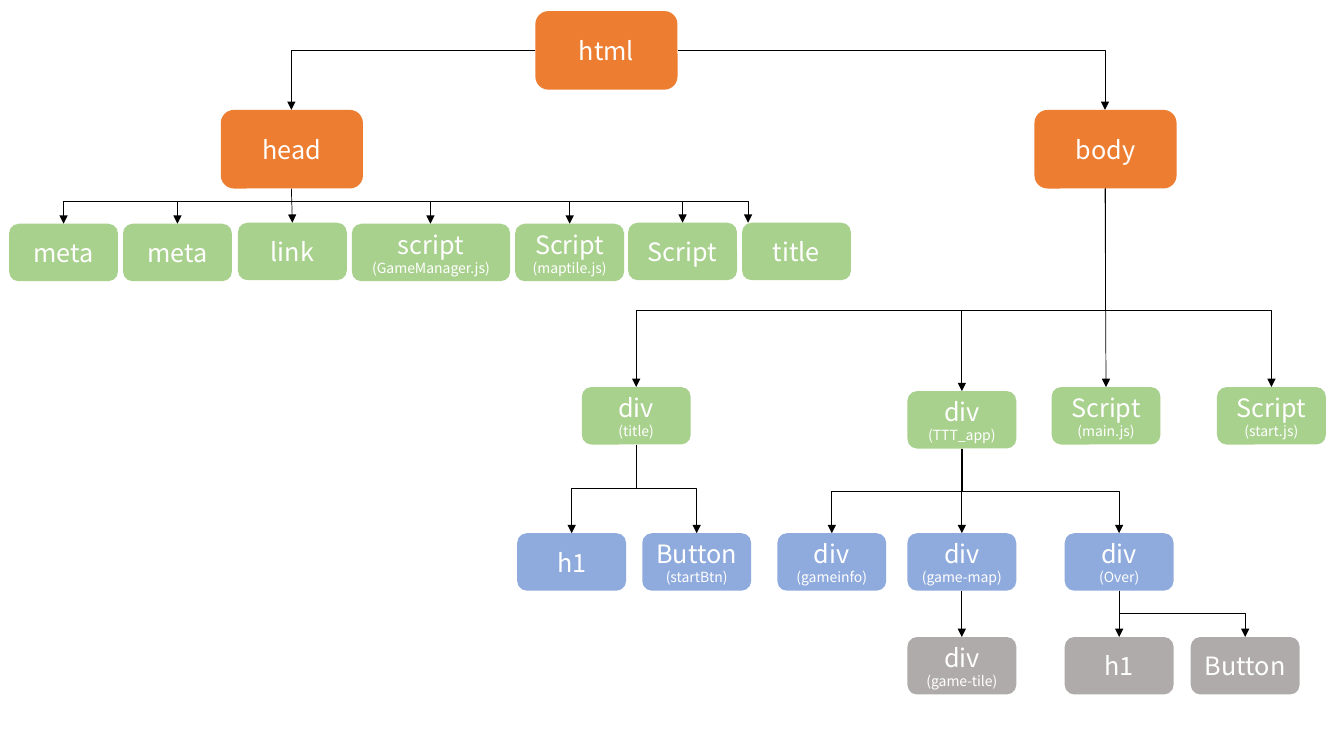
"""Draw the element tree of a game page as a slide."""
from dataclasses import dataclass
from typing import Any

from lxml import etree
from pptx import Presentation
from pptx.dml.color import RGBColor
from pptx.enum.shapes import MSO_CONNECTOR, MSO_SHAPE
from pptx.enum.text import MSO_ANCHOR, PP_ALIGN
from pptx.oxml.ns import qn
from pptx.util import Emu, Pt

ROUNDED = MSO_SHAPE.ROUNDED_RECTANGLE
STRAIGHT, ELBOW = MSO_CONNECTOR.STRAIGHT, MSO_CONNECTOR.ELBOW
CENTER, MIDDLE = PP_ALIGN.CENTER, MSO_ANCHOR.MIDDLE
PX = 9144
FONT = "Noto Sans CJK KR"
WHITE, BLACK = "FFFFFF", "000000"
ORANGE, GREEN, BLUE, GREY = "ED7D31", "A9D18E", "8FAADC", "AFABAB"
LINE_WIDTH = 0.5
TITLE_SIZE, NOTE_SIZE = 18, 10


@dataclass(frozen=True)
class Node:
    key: str
    x: int
    y: int
    fill: str
    text: str
    note: str = ""
    parent: str = ""
    route: str = "straight"
    bus: int = 0
    w: int = 108
    h: int = 57
    tip: int = 0

    @property
    def mid(self) -> int:
        return self.x + self.w // 2

    @property
    def bottom(self) -> int:
        return self.y + self.h


BIG = {"w": 141, "h": 78}
NODES = [
    Node("html", 531, 11, ORANGE, "html", bus=50, **BIG),
    Node("head", 219, 109, ORANGE, "head", "", "html", "corner", 200, **BIG),
    Node("body", 1026, 109, ORANGE, "body", "", "html", "corner", 308, **BIG),
    Node("meta1", 9, 222, GREEN, "meta", "", "head", "corner"),
    Node("meta2", 122, 222, GREEN, "meta", "", "head", "drop"),
    Node("link", 236, 221, GREEN, "link", "", "head"),
    Node("manager", 349, 222, GREEN, "script", "(GameManager.js)", "head", "drop", w=157),
    Node("maptile", 511, 222, GREEN, "Script", "(maptile.js)", "head", "drop"),
    Node("script", 623, 221, GREEN, "Script", "", "head", "drop"),
    Node("title", 736, 221, GREEN, "title", "", "head", "corner", tip=-48),
    Node("heading", 577, 384, GREEN, "div", "(title)", "body", "elbow", 485),
    Node("app", 900, 388, GREEN, "div", "(TTT_app)", "body", "drop", 487),
    Node("main", 1043, 384, GREEN, "Script", "(main.js)", "body"),
    Node("start", 1207, 384, GREEN, "Script", "(start.js)", "body", "elbow"),
    Node("h1", 513, 529, BLUE, "h1", "", "heading", "elbow"),
    Node("startBtn", 637, 529, BLUE, "Button", "(startBtn)", "heading", "elbow"),
    Node("gameinfo", 771, 529, BLUE, "div", "(gameinfo)", "app", "elbow"),
    Node("map", 900, 529, BLUE, "div", "(game-map)", "app"),
    Node("over", 1056, 529, BLUE, "div", "(Over)", "app", "elbow", 609),
    Node("tile", 900, 632, GREY, "div", "(game-tile)", "map"),
    Node("overH1", 1056, 632, GREY, "h1", "", "over"),
    Node("overBtn", 1181, 632, GREY, "Button", "", "over", "elbow"),
]


def px(value: float) -> Emu:
    """Turn slide pixels into EMU."""
    return Emu(round(value * PX))


def rgb(value: str) -> RGBColor:
    """Turn a hex string into a colour."""
    return RGBColor.from_string(value)


def add_line(shapes: Any, kind: Any, x1: float, y1: float, x2: float, y2: float) -> Any:
    """Add a thin black line that ends in an arrowhead."""
    cxn = shapes.add_connector(kind, px(x1), px(y1), px(x2), px(y2))
    cxn.line.width = Pt(LINE_WIDTH)
    cxn.line.color.rgb = rgb(BLACK)
    tail = etree.SubElement(cxn.line._get_or_add_ln(), qn("a:tailEnd"))
    tail.set("type", "triangle")
    etree.SubElement(cxn._element.spPr, qn("a:effectLst"))
    return cxn


def turn(cxn: Any, degrees: int, flip: str) -> None:
    """Rotate a connector and mirror it if a flip is named."""
    xfrm = cxn._element.spPr.find(qn("a:xfrm"))
    xfrm.set("rot", str(degrees * 60000))
    if flip:
        xfrm.set(flip, "1")


def add_corner(shapes: Any, x1: int, y1: int, x2: int, y2: int) -> None:
    """Add a line that runs sideways and then down."""
    cxn = add_line(shapes, ELBOW, min(x1, x2), y1, max(x1, x2), y2)
    cxn._element.spPr.find(qn("a:prstGeom")).set("prst", "bentConnector2")
    if x2 < x1:
        turn(cxn, 180, "flipV")


def add_elbow(shapes: Any, x1: int, y1: int, x2: int, y2: int, bus: int) -> None:
    """Add a line that runs down, sideways at the bus and down again."""
    w, h = y2 - y1, abs(x2 - x1)
    left, top = (x1 + x2 - w) / 2, (y1 + y2 - h) / 2
    cxn = add_line(shapes, ELBOW, left, top, left + w, top + h)
    turn(cxn, *((90, "") if x2 < x1 else (270, "flipH")))
    guides = cxn._element.spPr.find(qn("a:prstGeom")).get_or_add_avLst()
    guide = etree.SubElement(guides, qn("a:gd"))
    guide.set("name", "adj1")
    guide.set("fmla", f"val {round((bus - y1) / w * 100000)}")


def add_link(shapes: Any, parent: Node, child: Node) -> None:
    """Join a parent to a child along the child's route."""
    x, y = child.mid + child.tip, child.y
    if child.route == "straight":
        add_line(shapes, STRAIGHT, parent.mid, parent.bottom, x, y)
    elif child.route == "drop":
        add_line(shapes, STRAIGHT, x, parent.bus, x, y)
    elif child.route == "elbow":
        add_elbow(shapes, parent.mid, parent.bottom, x, y, parent.bus)
    else:
        start = parent.mid
        if parent.bus < parent.bottom:
            start = parent.x if x < parent.mid else parent.x + parent.w
        add_corner(shapes, start, parent.bus, x, y)


def add_node(shapes: Any, node: Node) -> None:
    """Add a rounded box with its name and optional note."""
    sp = shapes.add_shape(ROUNDED, px(node.x), px(node.y), px(node.w), px(node.h))
    sp.shadow.inherit = False
    sp.fill.solid()
    sp.fill.fore_color.rgb = rgb(node.fill)
    sp.line.fill.background()
    tf = sp.text_frame
    tf.vertical_anchor = MIDDLE
    lines = [(node.text, TITLE_SIZE)]
    if node.note:
        lines.append((node.note, NOTE_SIZE))
    for i, (text, size) in enumerate(lines):
        p = tf.add_paragraph() if i else tf.paragraphs[0]
        p.alignment = CENTER
        r = p.add_run()
        r.text = text
        for name, value in {"name": FONT, "size": Pt(size)}.items():
            setattr(r.font, name, value)
        r.font.color.rgb = rgb(WHITE)
        east = etree.SubElement(r.font._element, qn("a:ea"))
        east.set("typeface", FONT)


def main() -> None:
    """Build and save the slide."""
    prs = Presentation()
    prs.slide_width, prs.slide_height = px(1333), px(750)
    shapes = prs.slides.add_slide(prs.slide_layouts[6]).shapes
    by_key = {node.key: node for node in NODES}
    for node in NODES:
        if node.parent:
            add_link(shapes, by_key[node.parent], node)
    for node in NODES:
        add_node(shapes, node)
    prs.save("out.pptx")


if __name__ == "__main__":
    main()
